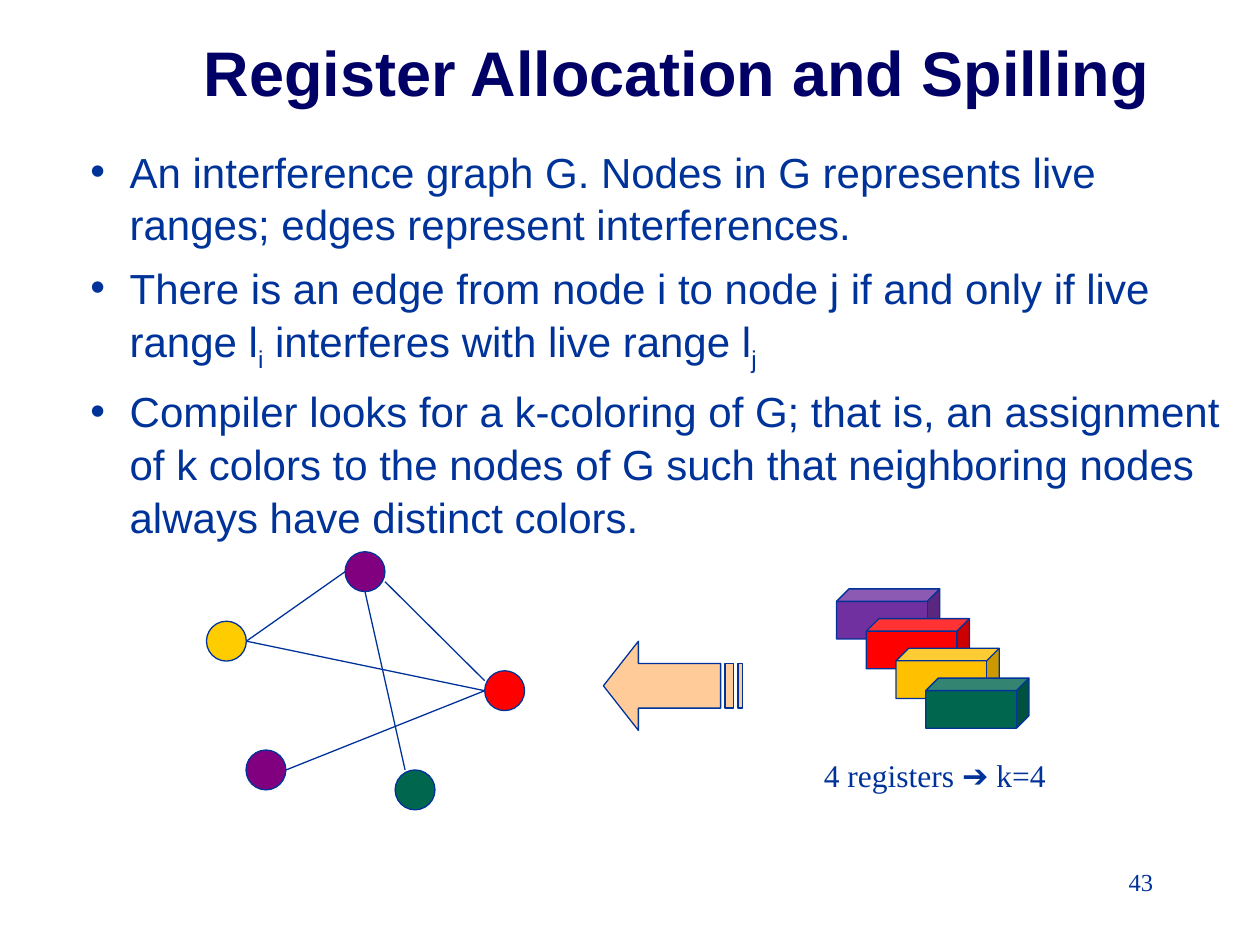
"""Build the slide on register allocation by graph coloring."""
from lxml import etree
from pptx import Presentation
from pptx.dml.color import RGBColor
from pptx.enum import shapes, text
from pptx.oxml import ns
from pptx.util import Pt

COLORS = {"title": "000066", "ink": "003399", "yellow": "FFCC00", "purple": "800080",
          "green": "00664D", "red": "FF0000", "violet": "7030A0", "amber": "FFC000",
          "peach": "FFCC99"}
TITLE = "Register Allocation and Spilling"
BULLETS = [
    [("An interference graph G. Nodes in G represents live ranges; "
      "edges represent interferences.", False)],
    [("There is an edge from node i to node j if and only if live range l", False),
     ("i", True), (" interferes with live range l", False), ("j", True)],
    [("Compiler looks for a k-coloring of G; that is, an assignment of k colors to the "
      "nodes of G such that neighboring nodes always have distinct colors.", False)],
]
CAPTION = [("4 registers ", "Times New Roman"), ("➔", "Arial"), (" k=4", "Times New Roman")]
PAGE_NUMBER = [("43", "Times New Roman")]

RADIUS = 11.4
NODES = {"left": (129.4, 366.4, "yellow"), "low": (152, 440, "purple"),
         "bottom": (237.2, 451.4, "green"), "right": (288.4, 394.7, "red"),
         "top": (208.6, 326.7, "purple")}
EDGES = [("top", (1, 0.5), "right", (-1, -0.5)), ("top", (0, 1), "bottom", (-0.5, -1)),
         ("low", (1, 0), "right", (-1, 0)), ("left", (1, 0), "right", (-1, 0)),
         ("left", (1, 0), "top", (-1, 0))]

REGISTERS = ["violet", "red", "amber", "green"]
CUBE_LEFT, CUBE_TOP, CUBE_WIDTH, CUBE_HEIGHT, CUBE_STEP = 478, 336.5, 59, 28.6, 17

ARROW_TIP, ARROW_MIDDLE, HEAD_LENGTH, HEAD_HALF, SHAFT_HALF = 344.8, 391.9, 20, 25.5, 12.75
SHAFT_END = 411.8
STRIPES = [(414.3, 419.2), (421.7, 424.2)]


def color(name):
    return RGBColor.from_string(COLORS[name])


def style_line(shape):
    shape.line.color.rgb = color("ink")
    shape.line.width = Pt(0.75)


def style_shape(shape, fill):
    shape.shadow.inherit = False
    shape.fill.solid()
    shape.fill.fore_color.rgb = color(fill)
    style_line(shape)


def style_font(font, name, size, ink="ink", bold=False):
    font.name, font.size, font.bold = name, Pt(size), bold
    font.color.rgb = color(ink)


def add_text_frame(slide, *box):
    frame = slide.shapes.add_textbox(*map(Pt, box)).text_frame
    frame.word_wrap = True
    return frame


def add_label(slide, box, runs, size, alignment):
    paragraph = add_text_frame(slide, *box).paragraphs[0]
    paragraph.alignment = alignment
    for words, font_name in runs:
        run = paragraph.add_run()
        run.text = words
        style_font(run.font, font_name, size)


def add_title(slide):
    title = slide.shapes.title
    title.left, title.top, title.width, title.height = map(Pt, (77.8, 13.7, 617.8, 54))
    frame = title.text_frame
    frame.text = TITLE
    frame.vertical_anchor = text.MSO_ANCHOR.MIDDLE
    paragraph = frame.paragraphs[0]
    paragraph.alignment = text.PP_ALIGN.CENTER
    style_font(paragraph.runs[0].font, "Arial", 36, "title", True)


def add_bullets(slide):
    frame = add_text_frame(slide, 41.8, 78.5, 666, 377.3)
    for index, runs in enumerate(BULLETS):
        paragraph = frame.add_paragraph() if index else frame.paragraphs[0]
        paragraph.line_spacing = 1.05
        paragraph.space_before = Pt(6 if index else 0)
        properties = paragraph._p.get_or_add_pPr()
        properties.set("marL", str(Pt(25.2)))
        properties.set("indent", str(Pt(-22.5)))
        etree.SubElement(properties, ns.qn("a:buFont"), typeface="Arial")
        etree.SubElement(properties, ns.qn("a:buChar"), char="•")
        for words, subscript in runs:
            run = paragraph.add_run()
            run.text = words
            style_font(run.font, "Arial", 24)
            if subscript:
                run._r.get_or_add_rPr().set("baseline", "-25000")


def node_point(name, offset):
    x, y, _ = NODES[name]
    return Pt(x + offset[0] * RADIUS), Pt(y + offset[1] * RADIUS)


def add_graph(slide):
    group = slide.shapes.add_group_shape()
    for name, (_, _, fill) in NODES.items():
        node = group.shapes.add_shape(shapes.MSO_SHAPE.OVAL, *node_point(name, (-1, -1)),
                                      Pt(2 * RADIUS), Pt(2 * RADIUS))
        style_shape(node, fill)
    for start, start_offset, end, end_offset in EDGES:
        edge = group.shapes.add_connector(shapes.MSO_CONNECTOR.STRAIGHT,
                                          *node_point(start, start_offset),
                                          *node_point(end, end_offset))
        style_line(edge)
        etree.SubElement(edge._element.spPr, ns.qn("a:effectLst"))


def add_registers(slide):
    for index, fill in enumerate(REGISTERS):
        shift = index * CUBE_STEP
        cube = slide.shapes.add_shape(shapes.MSO_SHAPE.CUBE, Pt(CUBE_LEFT + shift),
                                      Pt(CUBE_TOP + shift), Pt(CUBE_WIDTH), Pt(CUBE_HEIGHT))
        cube.adjustments[0] = 0.25
        style_shape(cube, fill)


def add_arrow(slide):
    neck = ARROW_TIP + HEAD_LENGTH
    upper, lower = ARROW_MIDDLE - SHAFT_HALF, ARROW_MIDDLE + SHAFT_HALF
    outlines = [[(ARROW_TIP, ARROW_MIDDLE), (neck, ARROW_MIDDLE - HEAD_HALF), (neck, upper),
                 (SHAFT_END, upper), (SHAFT_END, lower), (neck, lower),
                 (neck, ARROW_MIDDLE + HEAD_HALF)]]
    outlines += [[(left, upper), (right, upper), (right, lower), (left, lower)]
                 for left, right in STRIPES]
    outlines = [[(Pt(x), Pt(y)) for x, y in outline] for outline in outlines]
    builder = slide.shapes.build_freeform(*outlines[0][0])
    for index, outline in enumerate(outlines):
        if index:
            builder.move_to(*outline[0])
        builder.add_line_segments(outline[1:], close=True)
    style_shape(builder.convert_to_shape(), "peach")


def main():
    presentation = Presentation()
    presentation.slide_width, presentation.slide_height = Pt(720), Pt(540)
    slide = presentation.slides.add_slide(presentation.slide_layouts[5])
    add_title(slide)
    add_bullets(slide)
    add_graph(slide)
    add_registers(slide)
    add_label(slide, (463.7, 428.4, 209.5, 28.8), CAPTION, 18, text.PP_ALIGN.LEFT)
    add_arrow(slide)
    add_label(slide, (516.2, 491.8, 149.8, 36), PAGE_NUMBER, 14, text.PP_ALIGN.RIGHT)
    presentation.save("out.pptx")


if __name__ == "__main__":
    main()
